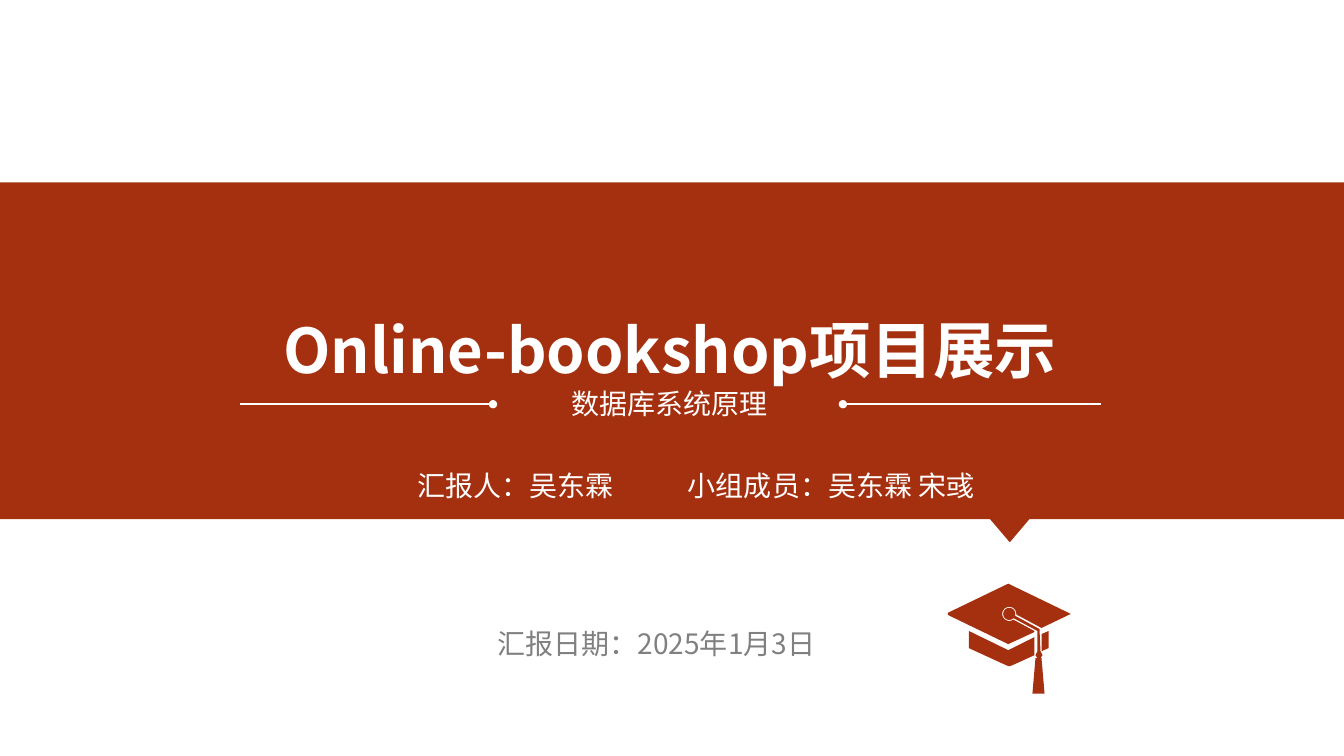
from math import cos, radians, sin

from lxml.etree import SubElement
from pptx import Presentation
from pptx.dml.color import RGBColor
from pptx.enum.shapes import MSO_CONNECTOR, MSO_SHAPE
from pptx.enum.text import MSO_ANCHOR, MSO_AUTO_SIZE as AUTO_SIZE, PP_ALIGN
from pptx.oxml.ns import qn
from pptx.util import Emu, Inches, Pt

RED = RGBColor(0xA5, 0x30, 0x0F)
WHITE = RGBColor(0xFF, 0xFF, 0xFF)
GREY = RGBColor(0x80, 0x80, 0x80)
FONT = "Noto Sans CJK SC"
TITLE_ONLY = 5
EMU_PER_PX = 9144  # 100 px to the inch


def px(length):
    return Emu(round(length * EMU_PER_PX))


def paint(shape, color):
    shape.shadow.inherit = False
    shape.fill.solid()
    shape.fill.fore_color.rgb = color
    shape.line.fill.background()


def add_block(slide, kind, left, top, width, height, rotation=0):
    shape = slide.shapes.add_shape(kind, px(left), px(top), px(width), px(height))
    shape.rotation = rotation
    paint(shape, RED)


def write_text(shape, text, size=20, color=WHITE, bold=False, wrap=True, spacing=1.0):
    frame = shape.text_frame
    frame.word_wrap = wrap
    frame.auto_size = AUTO_SIZE.SHAPE_TO_FIT_TEXT
    frame.vertical_anchor = MSO_ANCHOR.TOP
    paragraph = frame.paragraphs[0]
    paragraph.alignment = PP_ALIGN.CENTER
    paragraph.line_spacing = spacing
    run = paragraph.add_run()
    run.text = text
    run.font.name = FONT
    run.font.size = Pt(size)
    run.font.bold = bold
    run.font.color.rgb = color
    SubElement(run.font._element, qn("a:ea"), typeface=FONT)


def add_label(slide, text, left, top, width, height, **text_format):
    box = slide.shapes.add_textbox(px(left), px(top), px(width), px(height))
    write_text(box, text, **text_format)


def set_title(slide, text, left, top, width, height, **text_format):
    title = slide.shapes.title
    title.left, title.top = px(left), px(top)
    title.width, title.height = px(width), px(height)
    write_text(title, text, **text_format)


def add_dotted_rule(slide, outer_x, dot_x, y):
    """Draw a horizontal rule that ends in a dot at dot_x."""
    rule = slide.shapes.add_connector(
        MSO_CONNECTOR.STRAIGHT, px(outer_x), px(y), px(dot_x), px(y))
    rule.line.color.rgb = WHITE
    rule.line.width = Pt(1.5)
    SubElement(rule.line._get_or_add_ln(), qn("a:tailEnd"), type="oval")
    SubElement(rule._element.spPr, qn("a:effectLst"))


def arc(center, radius, start, end, steps=24):
    """Return points on a circle between two angles in degrees, y downwards."""
    angles = [radians(start + (end - start) * step / steps) for step in range(steps + 1)]
    return [(center[0] + radius * cos(angle), center[1] + radius * sin(angle))
            for angle in angles]


def add_graduation_cap(slide):
    button = (1001, 609)
    right_side = [(1033, 646), (1040, 643), (1040, 626), (1033, 629)]
    base = [(961, 626), (961, 643), (998, 660), (1001, 661), (1004, 660),
            (1026, 650), (1026, 632), (1000, 645)]
    cord = [(1031, 624), (1007, 611), *arc(button, 6, 15, -315), (1029, 626)]
    board = [(1062, 609), (1000, 579), (940, 608), (940, 610), (1000, 639),
             (1026, 627), (1026, 626), *arc(button, 7, 55, 365), (1033, 623)]
    tassel = [(1031, 624), (1032, 646), (1034, 650), (1032, 653), (1033, 653),
              (1036, 688), (1024, 688), (1027, 653), (1029, 653), (1027, 650),
              (1029, 646), (1029, 626)]
    builder = None
    for outline in (right_side, base, cord, board, tassel):
        start, *others = [(px(x), px(y)) for x, y in outline]
        if builder is None:
            builder = slide.shapes.build_freeform(*start)
        else:
            builder.move_to(*start)
        builder.add_line_segments(others, close=True)
    paint(builder.convert_to_shape(), RED)


def main():
    presentation = Presentation()
    presentation.slide_width = Inches(13.33)
    presentation.slide_height = Inches(7.5)
    slide = presentation.slides.add_slide(presentation.slide_layouts[TITLE_ONLY])

    add_block(slide, MSO_SHAPE.RECTANGLE, 0, 181, 1333, 334)
    add_graduation_cap(slide)
    set_title(slide, "Online-bookshop项目展示", 93, 304, 1143, 84, size=44, bold=True)
    add_label(slide, "数据库系统原理", 461, 379, 406, 44)
    add_dotted_rule(slide, 238, 489, 401)
    add_block(slide, MSO_SHAPE.ISOSCELES_TRIANGLE, 982, 515, 39, 23, rotation=180)
    add_dotted_rule(slide, 1092, 836, 401)
    add_label(slide, "汇报日期：2025年1月3日", 461, 610, 380, 47, color=GREY, spacing=1.2)
    add_label(slide, "汇报人：吴东霖", 403, 453, 217, 47, wrap=False, spacing=1.2)
    add_label(slide, "小组成员：吴东霖 宋彧", 670, 453, 309, 47, wrap=False, spacing=1.2)

    # The title comes first in the tree; lift it above the red band.
    title = slide.shapes.title._element
    title.getparent().append(title)
    presentation.save("out.pptx")


if __name__ == "__main__":
    main()
